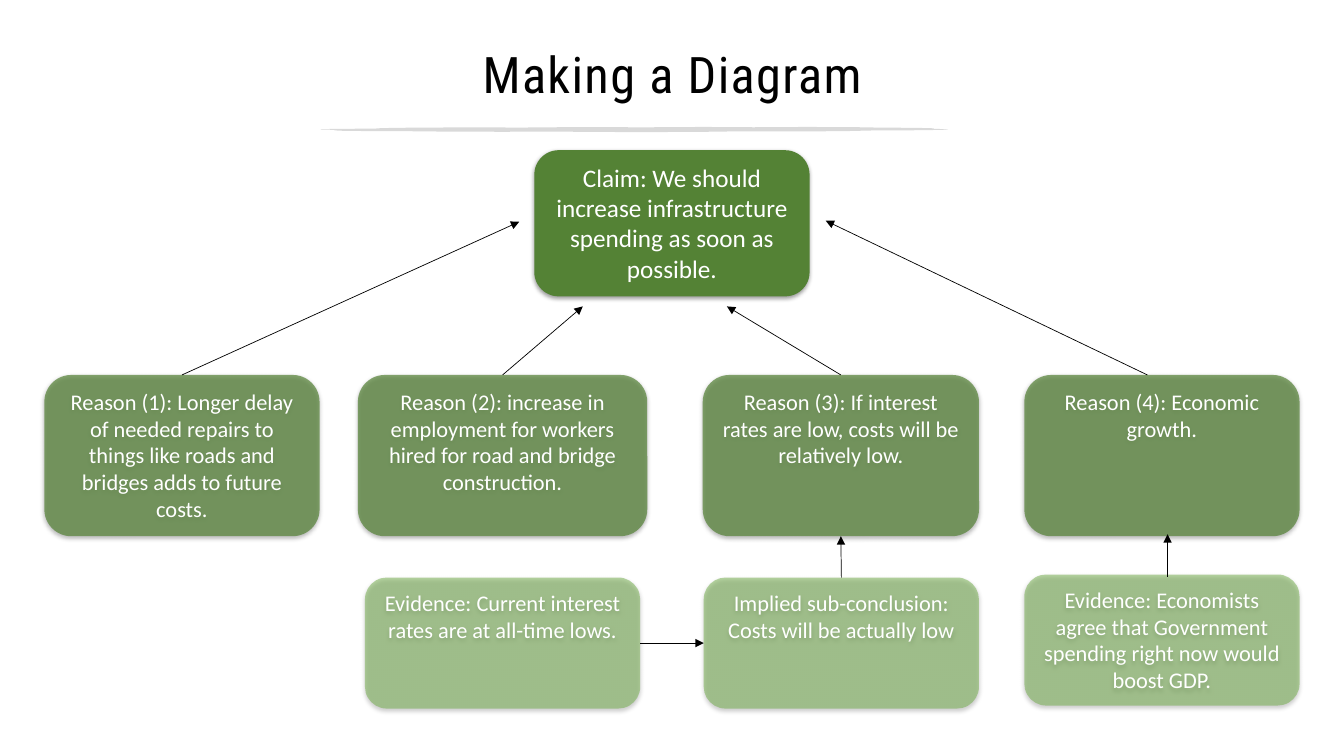
from pptx import Presentation
from pptx import util as u
from pptx.dml.color import RGBColor
from pptx.enum import shapes, text
from pptx.oxml import parse_xml
from pptx.oxml.ns import nsdecls, qn
from lxml import etree

COLORS = {"ink": "000000", "paper": "FFFFFF", "rule": "D9D9D9",
          "claim": "548235", "evidence": "70AD47"}
TOP, LEFT, BOTTOM, RIGHT = range(4)
REASON_TOP, REASON_HEIGHT = 3.72, 1.6
EVIDENCE_HEIGHT = 1.3

REASONS = [  # left, width, wording
    (0.44, 2.73, "Reason (1): Longer delay of needed repairs to things like "
                 "roads and bridges adds to future costs."),
    (3.55, 2.87, "Reason (2): increase in employment for workers hired for "
                 "road and bridge construction."),
    (6.97, 2.74, "Reason (3): If interest rates are low, costs will be "
                 "relatively low."),
    (10.16, 2.73, "Reason (4): Economic growth."),
]
EVIDENCE = [  # left, top, wording
    (3.62, 5.73, "Evidence: Current interest rates are at all-time lows."),
    (6.98, 5.73, "Implied sub-conclusion: Costs will be actually low"),
    (10.16, 5.7, "Evidence: Economists agree that Government spending right "
                 "now would boost GDP."),
]


def inches(*lengths):
    return [u.Inches(length) for length in lengths]


def rgb(name):
    return RGBColor.from_string(COLORS[name])


def write(paragraph, wording, size, font, color):
    paragraph.alignment = text.PP_ALIGN.CENTER
    run = paragraph.add_run()
    run.text = wording
    run.font.size = u.Pt(size)
    run.font.name = font
    run.font.color.rgb = rgb(color)
    return run


def add_heading(slide, left, top, width, height):
    heading = slide.shapes.add_textbox(*inches(left, top, width, height))
    frame = heading.text_frame
    frame.word_wrap = True
    frame.vertical_anchor = text.MSO_ANCHOR.MIDDLE
    frame.paragraphs[0].line_spacing = 0.9
    run = write(frame.paragraphs[0], "Making a Diagram", 36,
                "Roboto Condensed", "ink")
    run.font._element.set("spc", "100")

    # Brush-like rule under the heading
    rule = slide.shapes.add_shape(
        shapes.MSO_SHAPE.CLOUD,
        *inches(left + 2.26, top + 0.92, 6.22, 0.05))
    rule.shadow.inherit = False
    rule.fill.solid()
    rule.fill.fore_color.rgb = rgb("rule")
    rule.line.fill.background()


def add_statement(slide, box, wording, color, size=16, opacity=100):
    statement = slide.shapes.add_shape(
        shapes.MSO_SHAPE.ROUNDED_RECTANGLE, *inches(*box))
    statement.fill.solid()
    statement.fill.fore_color.rgb = rgb(color)
    statement.line.fill.background()
    properties = statement._element.spPr
    if opacity < 100:
        tint = properties.find(qn("a:solidFill"))[0]
        etree.SubElement(tint, qn("a:alpha"), val=str(opacity * 1000))

    # Soft shadow straight below
    statement.shadow.inherit = False
    properties.find(qn("a:effectLst")).append(parse_xml(
        f'<a:outerShdw {nsdecls("a")} blurRad="40000" dist="20000" '
        'dir="5400000" rotWithShape="0">'
        f'<a:srgbClr val="{COLORS["ink"]}"><a:alpha val="38000"/></a:srgbClr>'
        '</a:outerShdw>'))

    frame = statement.text_frame
    frame.word_wrap = True
    frame.auto_size = text.MSO_AUTO_SIZE.SHAPE_TO_FIT_TEXT
    frame.vertical_anchor = text.MSO_ANCHOR.TOP
    write(frame.paragraphs[0], wording, size, "Calibri", "paper")
    return statement


def add_arrow(slide, start, end, source=None, target=None):
    """Draw an arrow; source and target are (statement, side) joints."""
    arrow = slide.shapes.add_connector(
        shapes.MSO_CONNECTOR.STRAIGHT, *inches(*start, *end))
    if source:
        arrow.begin_connect(*source)
    if target:
        arrow.end_connect(*target)
    arrow.line.color.rgb = rgb("ink")
    arrow.line.width = u.Pt(0.5)
    etree.SubElement(arrow.line._get_or_add_ln(), qn("a:tailEnd"),
                     type="triangle")
    etree.SubElement(arrow._element.spPr, qn("a:effectLst"))


def add_argument(slide):
    # Claim
    add_statement(slide, (5.3, 1.49, 2.73, 1.45),
                  "Claim: We should increase infrastructure spending as soon "
                  "as possible.", "claim", size=18)

    # Reasons and evidence
    reasons = [add_statement(slide, (left, REASON_TOP, width, REASON_HEIGHT),
                             wording, "claim", opacity=70)
               for left, width, wording in REASONS]
    evidence = [add_statement(slide, (left, top, 2.73, EVIDENCE_HEIGHT),
                              wording, "evidence", opacity=50)
                for left, top, wording in EVIDENCE]

    # Reasons point to the claim
    tips = [(5.15, 2.2), (5.78, 3.04), (7.21, 3.04)]
    for reason, (left, width, _), tip in zip(reasons, REASONS, tips):
        add_arrow(slide, (left + width / 2, REASON_TOP), tip,
                  source=(reason, TOP))
    add_arrow(slide, (11.38, REASON_TOP), (8.19, 2.19))

    # Evidence points to the reasons
    rates, conclusion, _ = evidence
    add_arrow(slide, (6.35, 6.38), (6.98, 6.38),
              (rates, RIGHT), (conclusion, LEFT))
    add_arrow(slide, (8.35, 5.73), (8.35, 5.31),
              (conclusion, TOP), (reasons[2], BOTTOM))
    add_arrow(slide, (11.58, 5.72), (11.58, 5.3))


def main():
    deck = Presentation()
    deck.slide_width, deck.slide_height = inches(13.33, 7.5)
    slide = deck.slides.add_slide(deck.slide_layouts[6])
    add_heading(slide, 0.92, 0.34, 11.5, 0.85)
    add_argument(slide)
    deck.save("out.pptx")


if __name__ == "__main__":
    main()
